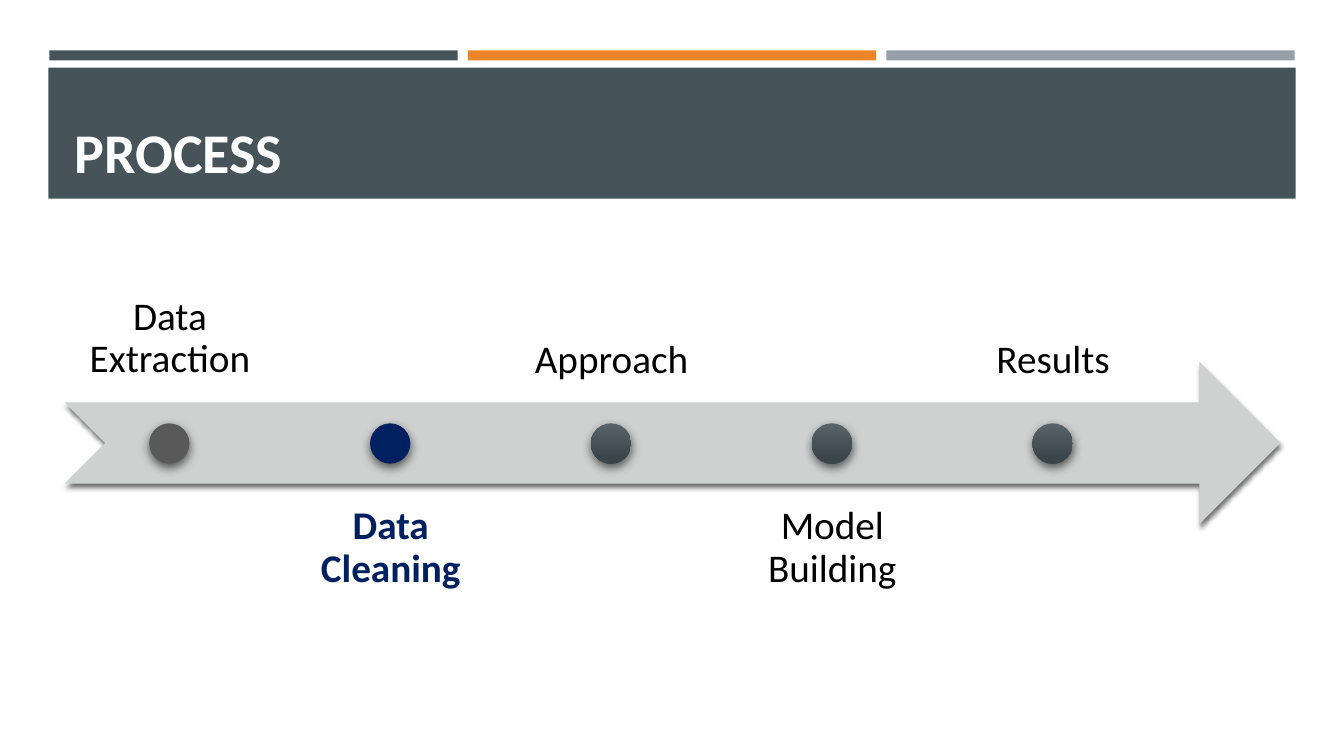
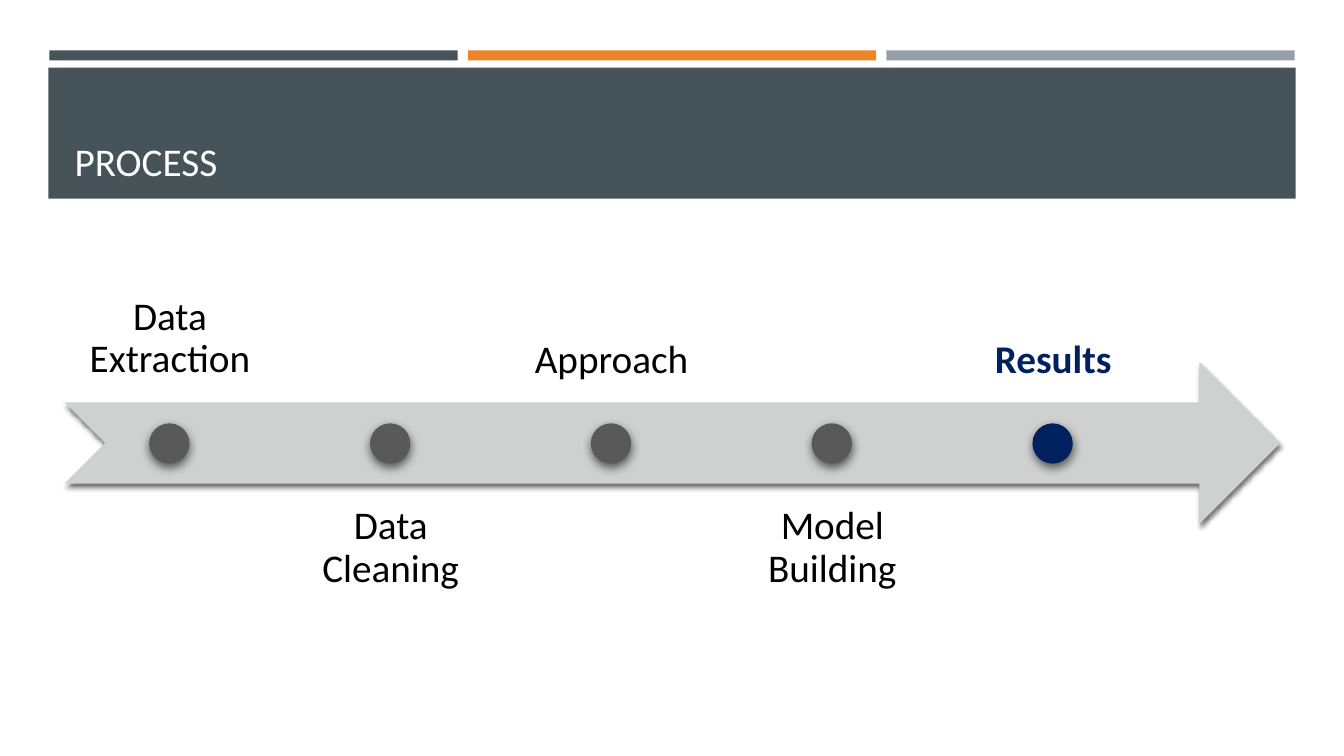
from lxml import etree
from pptx import Presentation
from pptx import util as u
from pptx.dml.color import RGBColor
from pptx.enum import shapes, text
from pptx.oxml import ns

PX = 9144  # 100 px to the inch
FONT = "Calibri"
HUES = {
    "slate": "465359", "orange": "ED8428", "grey": "969FA7",
    "white": "FFFFFF", "black": "000000", "navy": "002060",
    "arrow": "CFD1D1", "done": "595959", "top": "58646A", "base": "3B464B",
}
KIND = shapes.MSO_SHAPE
ANCHOR = text.MSO_ANCHOR
STEPS = ["Data Extraction", "Data Cleaning", "Approach", "Model Building", "Results"]

# Shadows: opacity %, blur pt, distance pt, angle
ARROW_SHADE = (55, 3, 2, 90)
DOT_SHADE = (60, 7, 3, 84)

# Timeline geometry
PITCH, LABEL_W, LABEL_H, DOT = 219, 209, 161, 40
LEFT, ABOVE, BELOW, DOT_TOP = 64, 239, 480, 420


def px(*nums):
    return [u.Emu(n * PX) for n in nums]


def rgb(name):
    return RGBColor.from_string(HUES[name])


def put(obj, **vals):
    for key, val in vals.items():
        setattr(obj, key, val)


def shade(shape, alpha, blur, dist, angle):
    effects = etree.SubElement(shape._element.spPr, ns.qn("a:effectLst"))
    outer = etree.SubElement(
        effects, ns.qn("a:outerShdw"), blurRad=str(u.Pt(blur)),
        dist=str(u.Pt(dist)), dir=str(angle * 60000), algn="ctr", rotWithShape="0")
    color = etree.SubElement(outer, ns.qn("a:srgbClr"), val=HUES["black"])
    etree.SubElement(color, ns.qn("a:alpha"), val=str(alpha * 1000))


def block(slide, kind, box, hue, cast=None):
    shape = slide.shapes.add_shape(kind, *px(*box))
    shape.line.fill.background()
    if hue == "fade":
        shape.fill.gradient()
        shape.fill.gradient_angle = 270
        stops = zip(shape.fill.gradient_stops, (("top", 0), ("base", 0.84)))
        for stop, (name, place) in stops:
            stop.color.rgb = rgb(name)
            stop.position = place
    else:
        shape.fill.solid()
        shape.fill.fore_color.rgb = rgb(hue)
    if cast:
        shade(shape, *cast)
    else:
        shape.shadow.inherit = False
    return shape


def write(frame, words, size, hue, bold, align):
    frame.text = words
    par = frame.paragraphs[0]
    par.alignment = align
    font = par.runs[0].font
    put(font, name=FONT, size=u.Pt(size), bold=bold)
    font.color.rgb = rgb(hue)
    return par


def label(slide, box, words, anchor, hot):
    frame = slide.shapes.add_textbox(*px(*box)).text_frame
    pad = px(22)[0]
    put(frame, word_wrap=True, vertical_anchor=anchor, margin_left=pad,
        margin_right=pad, margin_top=pad, margin_bottom=pad)
    par = write(frame, words, 28, "navy" if hot else "black", hot,
                text.PP_ALIGN.CENTER)
    par.line_spacing = 0.9


def frame_up(layout, slide):
    """Draw the shared bands and title place, and keep them on the layout."""
    bands = [block(slide, KIND.RECTANGLE, (49 + 415 * i, 50, 405, 10), hue)
             for i, hue in enumerate(("slate", "orange", "grey"))]
    bands.append(block(slide, KIND.RECTANGLE, (48, 67, 1237, 130), "slate"))
    for i, band in enumerate(bands):
        layout.shapes._spTree.insert(2 + i, band._element)
    left, top, width, height = px(64, 77, 1206, 111)
    title = layout.placeholders[0]
    put(title, left=left, top=top, width=width, height=height)
    put(title.text_frame, vertical_anchor=ANCHOR.BOTTOM,
        auto_size=text.MSO_AUTO_SIZE.NONE)


def timeline(slide, active, hues):
    block(slide, KIND.NOTCHED_RIGHT_ARROW, (LEFT, 359, 1206, 161), "arrow", ARROW_SHADE)
    for i, (step, hue) in enumerate(zip(STEPS, hues)):
        x = LEFT + PITCH * i
        top, anchor = (BELOW, ANCHOR.TOP) if i % 2 else (ABOVE, ANCHOR.BOTTOM)
        label(slide, (x, top, LABEL_W, LABEL_H), step, anchor, i == active)
        dot = (x + (LABEL_W - DOT) // 2, DOT_TOP, DOT, DOT)
        block(slide, KIND.OVAL, dot, hue, DOT_SHADE)


def main():
    deck = Presentation()
    deck.slide_width, deck.slide_height = px(1333, 750)
    layout = deck.slide_layouts.get_by_name("Title Only")

    # Title size, title weight, active step, dot colours
    pages = [
        (40, True, 1, ["done", "navy"] + ["fade"] * 3),
        (28, False, 4, ["done"] * 4 + ["navy"]),
    ]
    for i, (size, bold, active, hues) in enumerate(pages):
        slide = deck.slides.add_slide(layout)
        if i == 0:
            frame_up(layout, slide)
        write(slide.shapes.title.text_frame, "PROCESS", size, "white", bold,
              text.PP_ALIGN.LEFT)
        timeline(slide, active, hues)
    deck.save("out.pptx")


if __name__ == "__main__":
    main()
